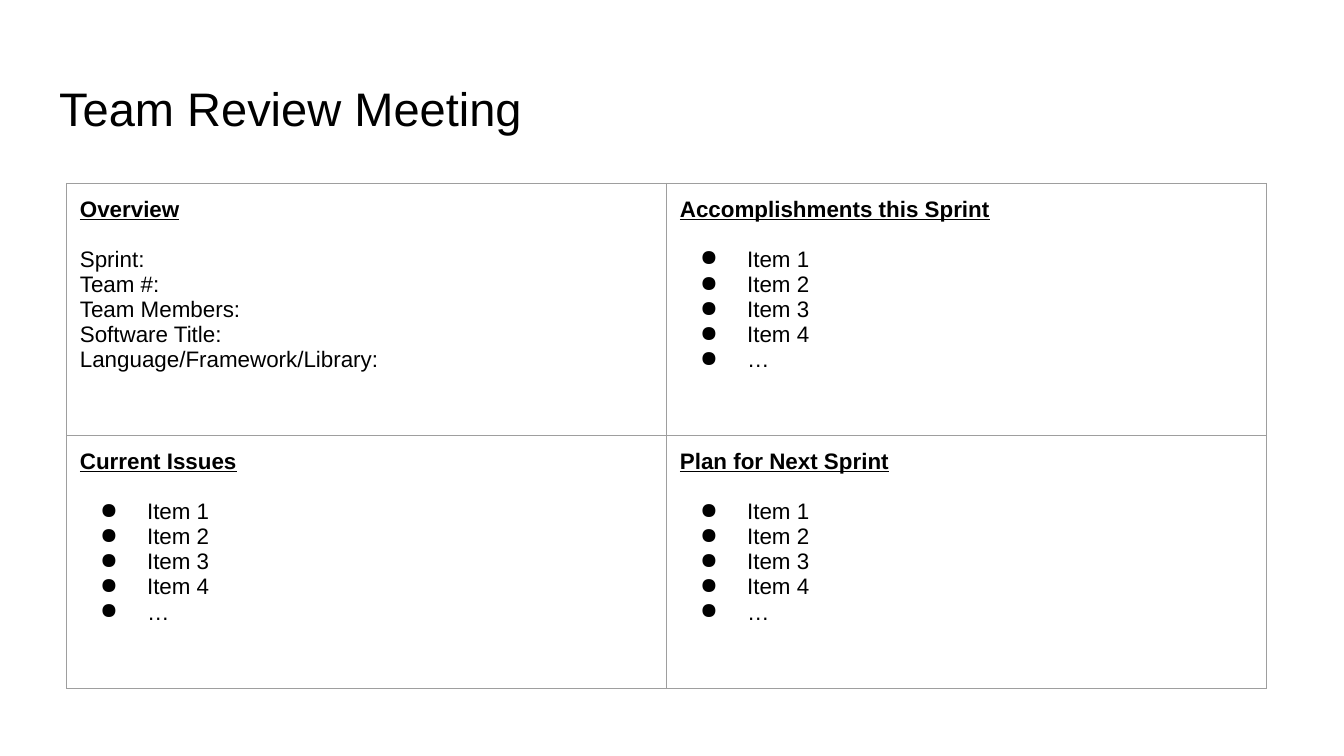
from lxml import etree
from pptx import Presentation
from pptx.dml.color import RGBColor
from pptx.enum import text
from pptx.oxml import ns
from pptx.util import Cm, Pt

INSET = Cm(0.25)
ITEMS = ["Item 1", "Item 2", "Item 3", "Item 4", "…"]
OVERVIEW = ["Sprint:", "Team #:", "Team Members:", "Software Title:",
            "Language/Framework/Library:"]
# Each cell: heading, lines, bulleted or not
CELLS = [
    [("Overview", OVERVIEW, False), ("Accomplishments this Sprint", ITEMS, True)],
    [("Current Issues", ITEMS, True), ("Plan for Next Sprint", ITEMS, True)],
]


def color(value):
    return RGBColor.from_string(value)


def add_node(parent, tag, **attrs):
    node = etree.SubElement(parent, ns.qn(tag))
    for name, value in attrs.items():
        node.set(name, str(value))
    return node


def write(p, content, size=12, bold=False, underline=False, font="Arial",
          fill="000000", after=0):
    p.space_after = Pt(after)
    r = p.add_run()
    r.text = content
    r.font.name = font
    r.font.size = Pt(size)
    r.font.bold = bold
    r.font.underline = underline
    r.font.color.rgb = color(fill)


def set_insets(box):
    box.margin_left = box.margin_right = INSET
    box.margin_top = box.margin_bottom = INSET


class Deck:
    border = "9E9E9E"
    ink = "000000"

    def __init__(self, width, height):
        self.prs = Presentation()
        self.prs.slide_width, self.prs.slide_height = width, height
        self.s = self.prs.slides.add_slide(self.prs.slide_layouts[6])

    def title(self, content, left, top, width, height):
        tf = self.s.shapes.add_textbox(left, top, width, height).text_frame
        tf.word_wrap = True
        tf.vertical_anchor = text.MSO_ANCHOR.MIDDLE
        set_insets(tf)
        write(tf.paragraphs[0], content, size=25.2, fill=self.ink)

    def bullet(self, p):
        props = p._p.get_or_add_pPr()
        props.set("marL", str(Cm(1.27)))
        props.set("indent", str(Cm(-0.89)))
        add_node(add_node(props, "a:buClr"), "a:srgbClr", val=self.ink)
        add_node(props, "a:buChar", char="●")

    def borders(self, cell):
        props = cell._tc.get_or_add_tcPr()
        for i, side in enumerate(("a:lnL", "a:lnR", "a:lnT", "a:lnB")):
            line = etree.Element(ns.qn(side), w=str(Pt(0.75)))
            add_node(add_node(line, "a:solidFill"), "a:srgbClr", val=self.border)
            props.insert(i, line)

    def cell(self, cell, heading, lines, bulleted):
        cell.fill.background()
        self.borders(cell)
        set_insets(cell)
        tf = cell.text_frame
        write(tf.paragraphs[0], heading, bold=True, underline=True,
              fill=self.ink, after=13.5)
        for line in lines:
            p = tf.add_paragraph()
            write(p, line, fill=self.ink)
            if bulleted:
                self.bullet(p)

    def table(self, cells, left, top, width, height):
        frame = self.s.shapes.add_table(len(cells), len(cells[0]),
                                        left, top, width, height)
        table = frame.table
        table.first_row = table.horz_banding = False
        for i, row in enumerate(cells):
            for j, content in enumerate(row):
                self.cell(table.cell(i, j), *content)


def main():
    deck = Deck(Cm(25.4), Cm(14.29))
    # Heading
    deck.title("Team Review Meeting", Cm(0.87), Cm(1.24), Cm(23.67), Cm(1.6))
    # Review grid
    deck.table(CELLS, Cm(1.26), Cm(3.47), Cm(22.68), Cm(9.54))
    deck.prs.save("out.pptx")


if __name__ == "__main__":
    main()
